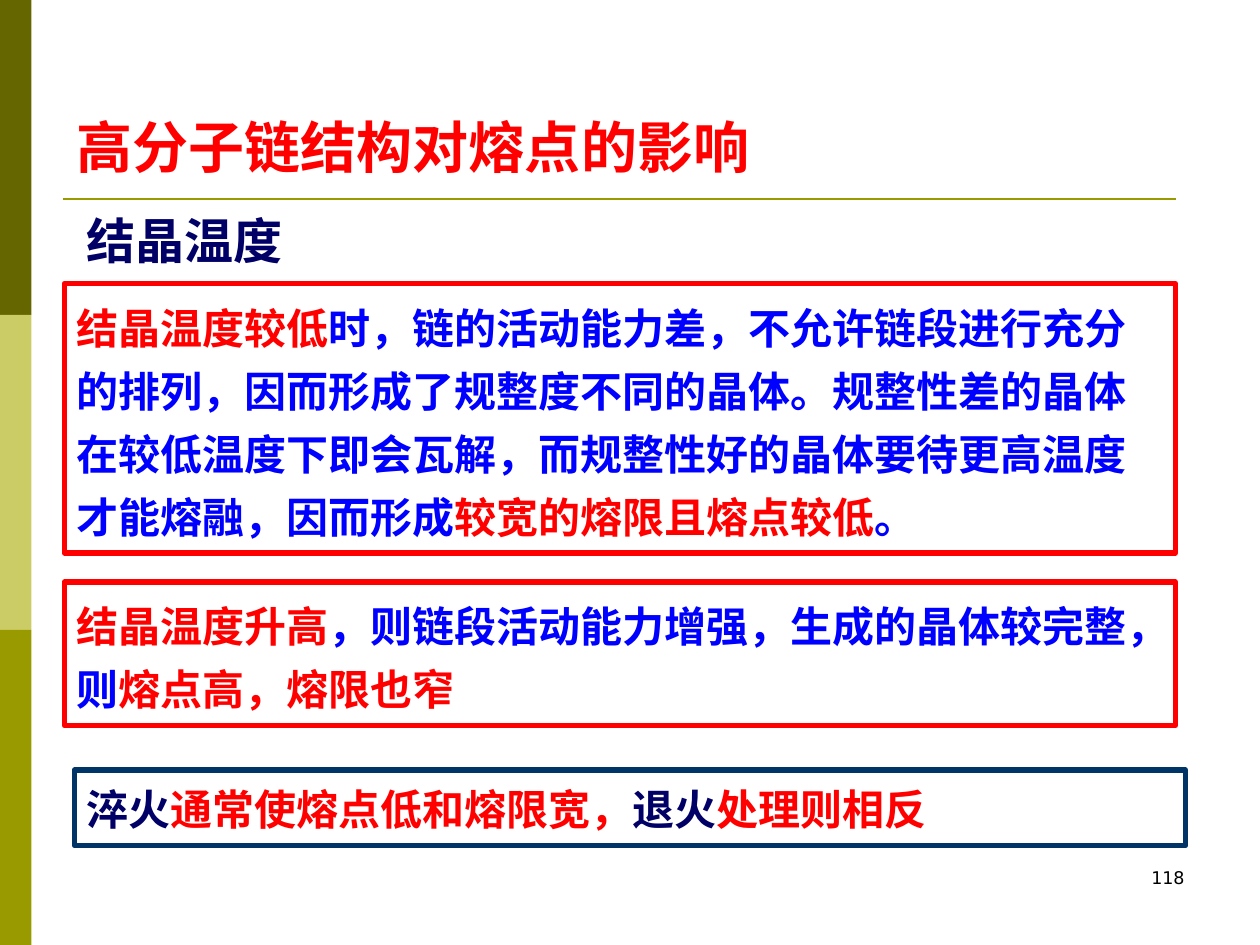
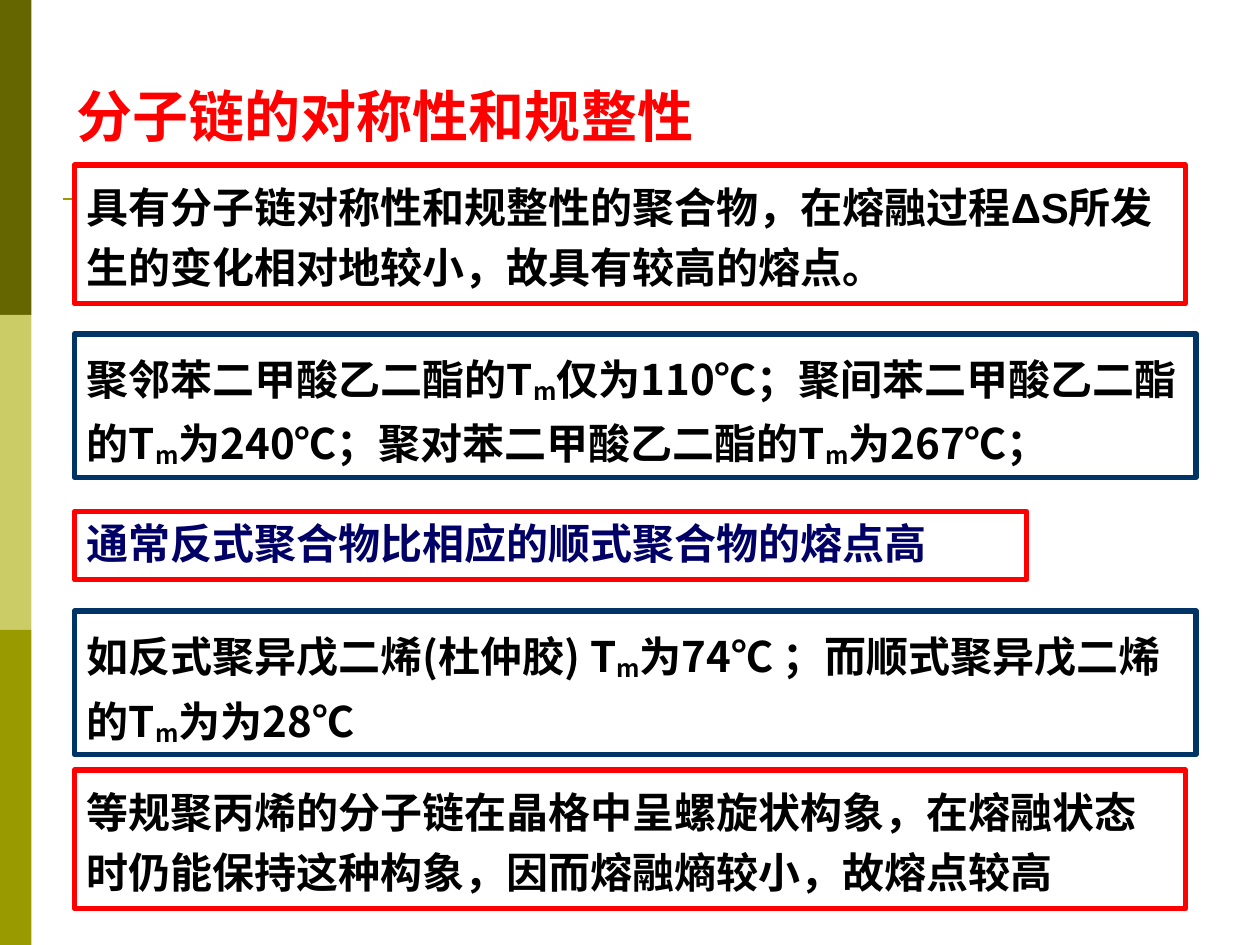
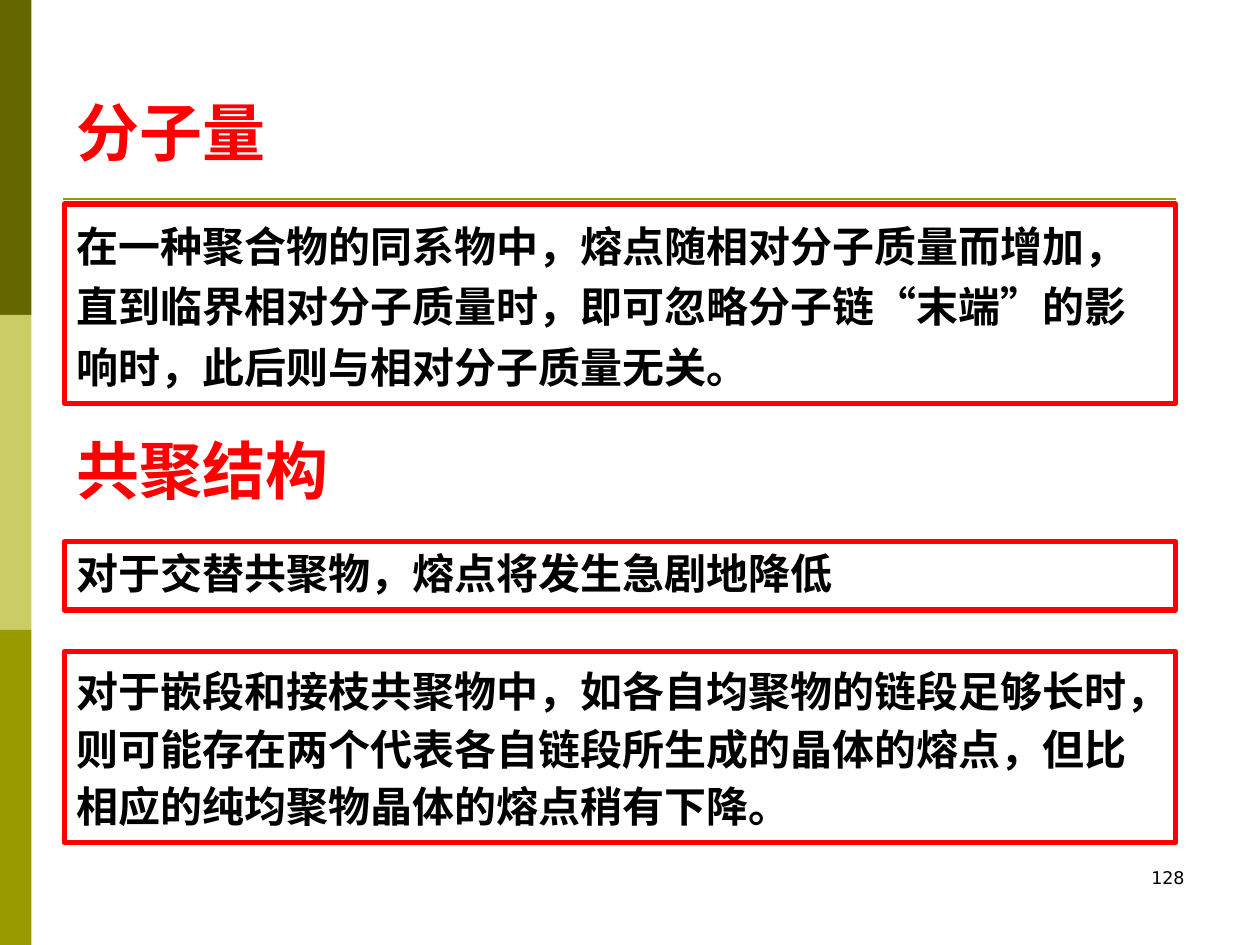
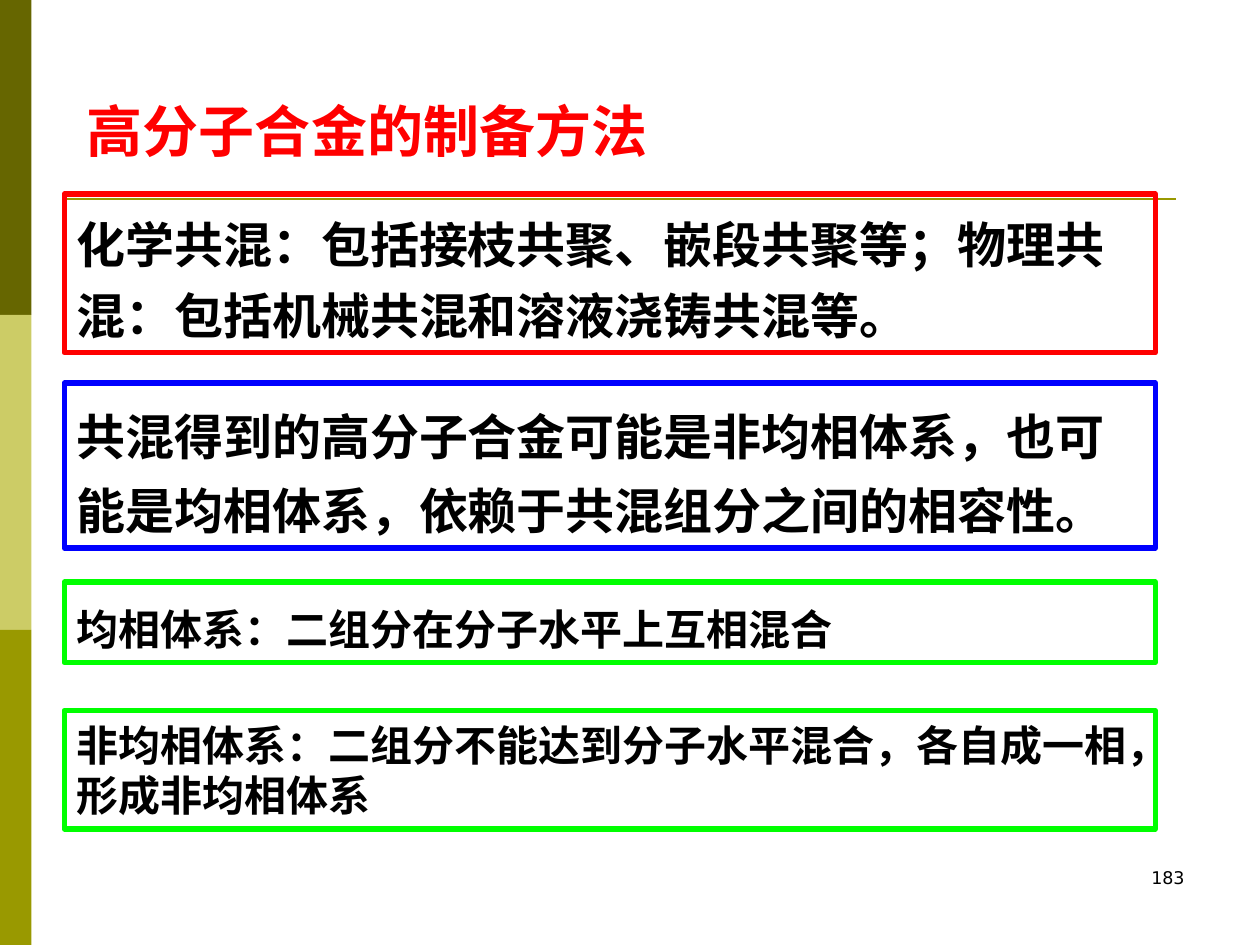
from lxml import etree
from pptx import Presentation
from pptx.dml.color import RGBColor
from pptx.enum.shapes import MSO_CONNECTOR, MSO_SHAPE
from pptx.enum.text import MSO_ANCHOR, MSO_AUTO_SIZE, PP_ALIGN
from pptx.oxml.ns import qn
from pptx.util import Pt

RECT = MSO_SHAPE.RECTANGLE
LINE = MSO_CONNECTOR.STRAIGHT
TOP, MID, BASE = MSO_ANCHOR.TOP, MSO_ANCHOR.MIDDLE, MSO_ANCHOR.BOTTOM
FIXED = MSO_AUTO_SIZE.NONE
LEFT, RIGHT = PP_ALIGN.LEFT, PP_ALIGN.RIGHT

RED = RGBColor(0xFF, 0, 0)
BLUE = RGBColor(0, 0, 0xFF)
GREEN = RGBColor(0, 0xFF, 0)
NAVY = RGBColor(0, 0, 0x66)
STEEL = RGBColor(0, 0x33, 0x66)
BLACK = RGBColor(0, 0, 0)
WHITE = RGBColor(0xFF, 0xFF, 0xFF)
OLIVE = RGBColor(0x99, 0x99, 0)
BANDS = [RGBColor(0x66, 0x66, 0), RGBColor(0xCC, 0xCC, 0x66), OLIVE]

HAN, LATIN, DIGIT = "Noto Sans CJK SC", "Arial", "DejaVu Sans"
NEAR, FAR = 36.7, 42.5
WIDE = 635
SUB = "m"

SLIDES = [
    {
        "title": ("高分子链结构对熔点的影响", NEAR, 60.5, 629, 32, TOP),
        "page": "118",
        "heads": [("结晶温度", FAR, 116.6, 629, 41, 28, NAVY, TOP)],
        "boxes": [
            (NEAR, 162, WIDE, 154, RED, 1.25, 24, [
                ("结晶温度较低", RED),
                ("时，链的活动能力差，不允许链段进行充分的排列，因而形成了规整度不同的晶体。"
                 "规整性差的晶体在较低温度下即会瓦解，而规整性好的晶体要待更高温度才能熔融，"
                 "因而形成", BLUE),
                ("较宽的熔限且熔点较低", RED),
                ("。", BLUE)]),
            (NEAR, 332.6, WIDE, 82, RED, 1.25, 24, [
                ("结晶温度升高", RED),
                ("，则链段活动能力增强，生成的晶体较完整，则", BLUE),
                ("熔点高，熔限也窄", RED)]),
            (FAR, 440, WIDE, 43.2, STEEL, 1.15, 24, [
                ("淬火", NAVY), ("通常使熔点低和熔限宽，", RED),
                ("退火", NAVY), ("处理则相反", RED)]),
        ],
    },
    {
        "title": ("分子链的对称性和规整性", NEAR, 43.2, 586, 32, BASE),
        "boxes": [
            (FAR, 94.3, WIDE, 79.2, RED, 1.2, 24, [
                ("具有分子链对称性和规整性的聚合物，在熔融过程ΔS所发生的变化相对地较小，"
                 "故具有较高的熔点。", BLACK, LATIN)]),
            (FAR, 190.8, 641, 82, STEEL, 1.25, 24, [
                ("聚邻苯二甲酸乙二酯的T",), (SUB,),
                ("仅为110℃；聚间苯二甲酸乙二酯的T",), (SUB,),
                ("为240℃；聚对苯二甲酸乙二酯的T",), (SUB,),
                ("为267℃；",)]),
            (FAR, 292.3, 544.3, 39, RED, 1, 24, [
                ("通常反式聚合物比相应的顺式聚合物的熔点高", NAVY, LATIN)]),
            (FAR, 349.2, 641, 82, STEEL, 1.25, 24, [
                ("如反式聚异戊二烯(杜仲胶) T",), (SUB,),
                ("为74℃ ；而顺式聚异戊二烯的T",), (SUB,),
                ("为为28℃",)]),
            (FAR, 440, WIDE, 79.2, RED, 1.2, 24, [
                ("等规聚丙烯的分子链在晶格中呈螺旋状构象，在熔融状态时仍能保持这种构象，"
                 "因而熔融熵较小，故熔点较高",)]),
        ],
    },
    {
        "title": ("分子量", NEAR, 54.7, 586, 36, BASE),
        "page": "128",
        "heads": [("共聚结构", NEAR, 247.7, 586, 45.4, 36, RED, BASE)],
        "boxes": [
            (NEAR, 116.6, WIDE, 113.8, RED, 1.2, 24, [
                ("在一种聚合物的同系物中，熔点随相对分子质量而增加，"
                 "直到临界相对分子质量时，即可忽略分子链",),
                ("“", BLACK, LATIN), ("末端",), ("”", BLACK, LATIN),
                ("的影响时，此后则与相对分子质量无关。",)]),
            (NEAR, 309.6, WIDE, 39, RED, 1, 24, [
                ("对于交替共聚物，熔点将发生急剧地降低",)]),
            (NEAR, 372.2, WIDE, 109.4, RED, 1.15, 24, [
                ("对于嵌段和接枝共聚物中，如各自均聚物的链段足够长时，"
                 "则可能存在两个代表各自链段所生成的晶体的熔点，"
                 "但比相应的纯均聚物晶体的熔点稍有下降。",)]),
        ],
    },
    {
        "title": ("高分子合金的制备方法", FAR, 51.8, 335.5, 32, TOP),
        "page": "183",
        "clear": True,
        "boxes": [
            (NEAR, 110.9, 623.5, 90.7, RED, 1.2, 28, [
                ("化学共混：包括接枝共聚、嵌段共聚等；物理共混：包括机械共混和溶液浇铸共混等。",)]),
            (NEAR, 218.9, 623.5, 94.3, BLUE, 1.25, 28, [
                ("共混得到的高分子合金可能是非均相体系，也可能是均相体系，"
                 "依赖于共混组分之间的相容性。",)]),
            (NEAR, 332.6, 623.5, 46, GREEN, 1.25, 24, [
                ("均相体系：二组分在分子水平上互相混合",)]),
            (NEAR, 406, 623.5, 67.7, GREEN, 1, 24, [
                ("非均相体系：二组分不能达到分子水平混合，各自成一相，形成非均相体系",)]),
        ],
    },
]


def write(shape, runs, size, anchor=TOP, space=1, align=LEFT, bold=True, wrap=True):
    frame = shape.text_frame
    frame.auto_size = FIXED
    frame.word_wrap = wrap
    frame.vertical_anchor = anchor
    para = frame.paragraphs[0]
    para.alignment = align
    para.line_spacing = space
    para.space_before = Pt(0)
    for text, color, face in runs:
        run = para.add_run()
        run.text = text
        font = run.font
        font.size, font.bold, font.name = Pt(size), bold, face
        font.color.rgb = color
        props = run._r.get_or_add_rPr()
        etree.SubElement(props, qn("a:ea")).set("typeface", HAN)
        if text == SUB:
            props.set("baseline", "-12000")


def fill_run(text, color=BLACK, face=HAN):
    return text, color, face


def add_rect(slide, place, fill=None, edge=None):
    rect = slide.shapes.add_shape(RECT, *map(Pt, place))
    rect.shadow.inherit = False
    if fill is None:
        rect.fill.background()
    else:
        rect.fill.solid()
        rect.fill.fore_color.rgb = fill
    if edge is None:
        rect.line.fill.background()
    else:
        rect.line.color.rgb = edge
        rect.line.width = Pt(3)
    return rect


def add_text(slide, place, runs, size, **style):
    write(slide.shapes.add_textbox(*map(Pt, place)), runs, size, **style)


def set_frame(slide, layout):
    parts = [add_rect(slide, (0, 180 * i, 18, 180), color)
             for i, color in enumerate(BANDS)]
    rule = slide.shapes.add_connector(LINE, Pt(36), Pt(113.8), Pt(672), Pt(113.8))
    rule.line.color.rgb = OLIVE
    rule.line.width = Pt(1.5)
    etree.SubElement(rule._element.spPr, qn("a:effectLst"))
    for part in parts + [rule]:
        layout.shapes._spTree.append(part._element)


def add_title(slide, text, left, top, width, size, anchor):
    title = slide.shapes.title
    title.left, title.top, title.width, title.height = map(
        Pt, (left, top, width, 45.4))
    write(title, [fill_run(text, RED)], size, anchor, wrap=width > 400)


def main():
    deck = Presentation()
    deck.slide_width, deck.slide_height = Pt(720), Pt(540)
    layout = deck.slide_layouts[5]
    for num, data in enumerate(SLIDES):
        slide = deck.slides.add_slide(layout)
        if num == 0:
            set_frame(slide, layout)
        add_title(slide, *data["title"])
        if "page" in data:
            add_text(slide, (516, 492, 168, 36), [fill_run(data["page"], face=DIGIT)],
                     10, align=RIGHT, bold=False)
        for text, *place, size, color, anchor in data.get("heads", []):
            add_text(slide, place, [fill_run(text, color)], size, anchor=anchor)
        clear = data.get("clear")
        for *place, edge, space, size, runs in data["boxes"]:
            box = add_rect(slide, place, None if clear else WHITE, edge)
            write(box, [fill_run(*run) for run in runs], size,
                  MID if clear else TOP, space)
    deck.save("out.pptx")


if __name__ == "__main__":
    main()
